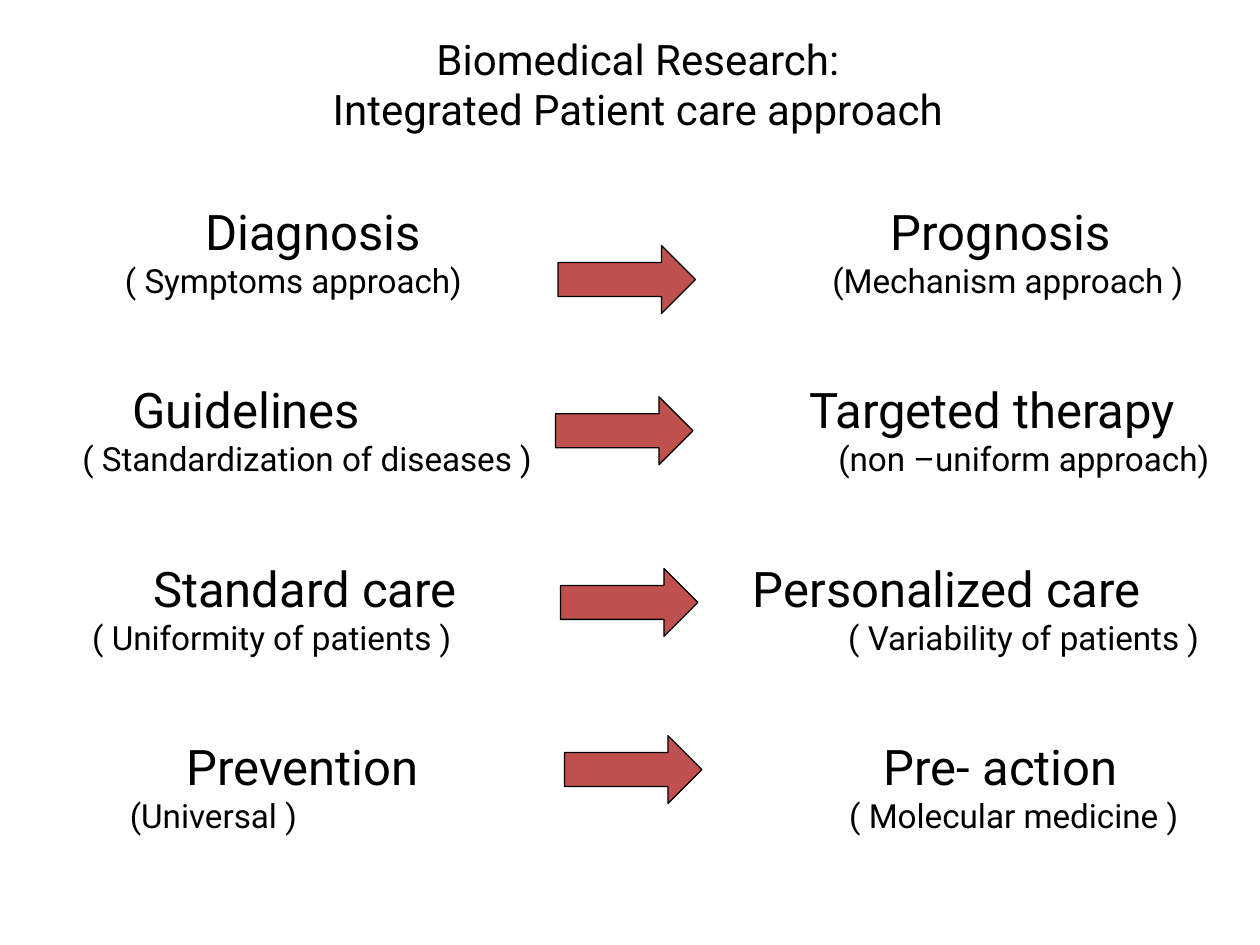
import pptx
import pptx.util
import pptx.dml.color
import pptx.enum.shapes
import pptx.enum.text
import pptx.oxml.ns
import lxml.etree

Cm = pptx.util.Cm
Pt = pptx.util.Pt
BLACK = pptx.dml.color.RGBColor(0x00, 0x00, 0x00)
RED = pptx.dml.color.RGBColor(0xC0, 0x50, 0x4D)
CENTER = pptx.enum.text.PP_ALIGN.CENTER
LEFT = pptx.enum.text.PP_ALIGN.LEFT


def write(frame, text, size, align=LEFT, before=0, stops=()):
    """Add a paragraph; stops are tab positions in cm from the frame's left."""
    par = frame.paragraphs[0]
    if par.runs:
        par = frame.add_paragraph()
    par.alignment = align
    par.space_before = Pt(before)
    run = par.add_run()
    run.text = text
    run.font.name = "Roboto"
    run.font.size = Pt(size)
    run.font.color.rgb = BLACK
    if stops:
        qn = pptx.oxml.ns.qn
        tabs = lxml.etree.SubElement(par._p.get_or_add_pPr(), qn("a:tabLst"))
        for stop in stops:
            lxml.etree.SubElement(tabs, qn("a:tab"), pos=str(Cm(stop)), algn="l")


def frame_at(left, top, width, height):
    box = slide.shapes.add_textbox(Cm(left), Cm(top), Cm(width), Cm(height))
    frame = box.text_frame
    frame.word_wrap = True
    frame.vertical_anchor = pptx.enum.text.MSO_ANCHOR.MIDDLE
    frame.margin_left = frame.margin_right = 0
    frame.margin_top = frame.margin_bottom = 0
    return frame


deck = pptx.Presentation()
deck.slide_width = Cm(25.4)
deck.slide_height = Cm(19.05)
slide = deck.slides.add_slide(deck.slide_layouts[6])

title = frame_at(1, 0.66, 23.72, 2.06)
for line in ("Biomedical Research:", "Integrated Patient care approach"):
    write(title, line, 24, align=CENTER)

# Each pair: old term, new term, and their tab stops; then the same for the notes
pairs = [
    ("Diagnosis", "Prognosis", (3.12, 16.94),
     "( Symptoms approach)", "(Mechanism approach )", (1.5, 15.76)),
    ("Guidelines", "Targeted therapy", (1.65, 15.29),
     "( Standardization of diseases )", "(non –uniform approach)", (0.64, 15.88)),
    ("Standard care", "Personalized care", (2.07, 14.16),
     "( Uniformity of patients )", "( Variability of patients )", (0.84, 16.08)),
    ("Prevention", "Pre- action", (2.75, 16.8),
     "(Universal )", "( Molecular medicine )", (1.6, 16.1)),
]
body = frame_at(1.02, 4.06, 23.88, 12.78)
for row, (old, new, stops, old_note, new_note, note_stops) in enumerate(pairs):
    write(body, f"\t{old}\t{new}", 28, before=45.6 if row else 0, stops=stops)
    write(body, f"\t{old_note}\t{new_note}", 19, stops=note_stops)

for left, top in ((11.25, 4.95), (11.2, 8), (11.3, 11.46), (11.38, 14.83)):
    arrow = slide.shapes.add_shape(
        pptx.enum.shapes.MSO_SHAPE.RIGHT_ARROW, Cm(left), Cm(top), Cm(2.77), Cm(1.37))
    arrow.shadow.inherit = False
    arrow.fill.solid()
    arrow.fill.fore_color.rgb = RED
    arrow.line.color.rgb = BLACK
    arrow.line.width = Pt(0.75)

deck.save("out.pptx")
